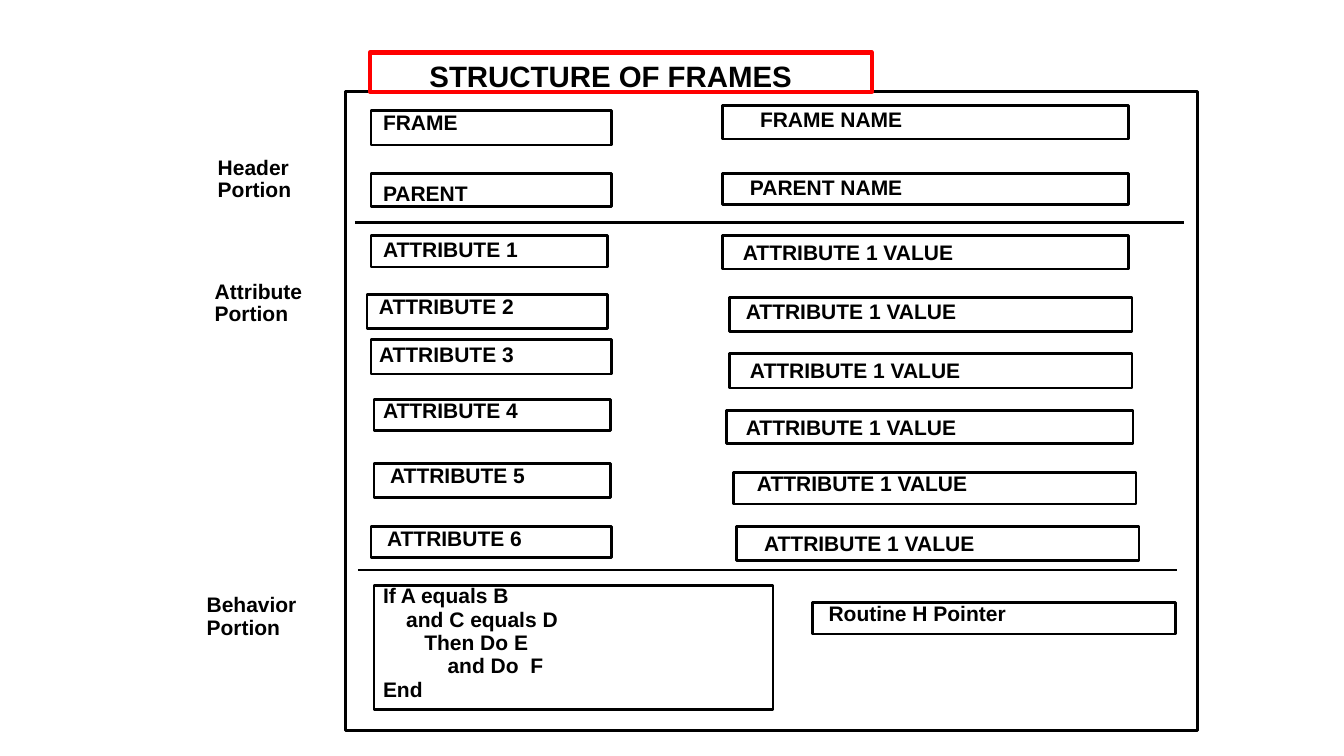
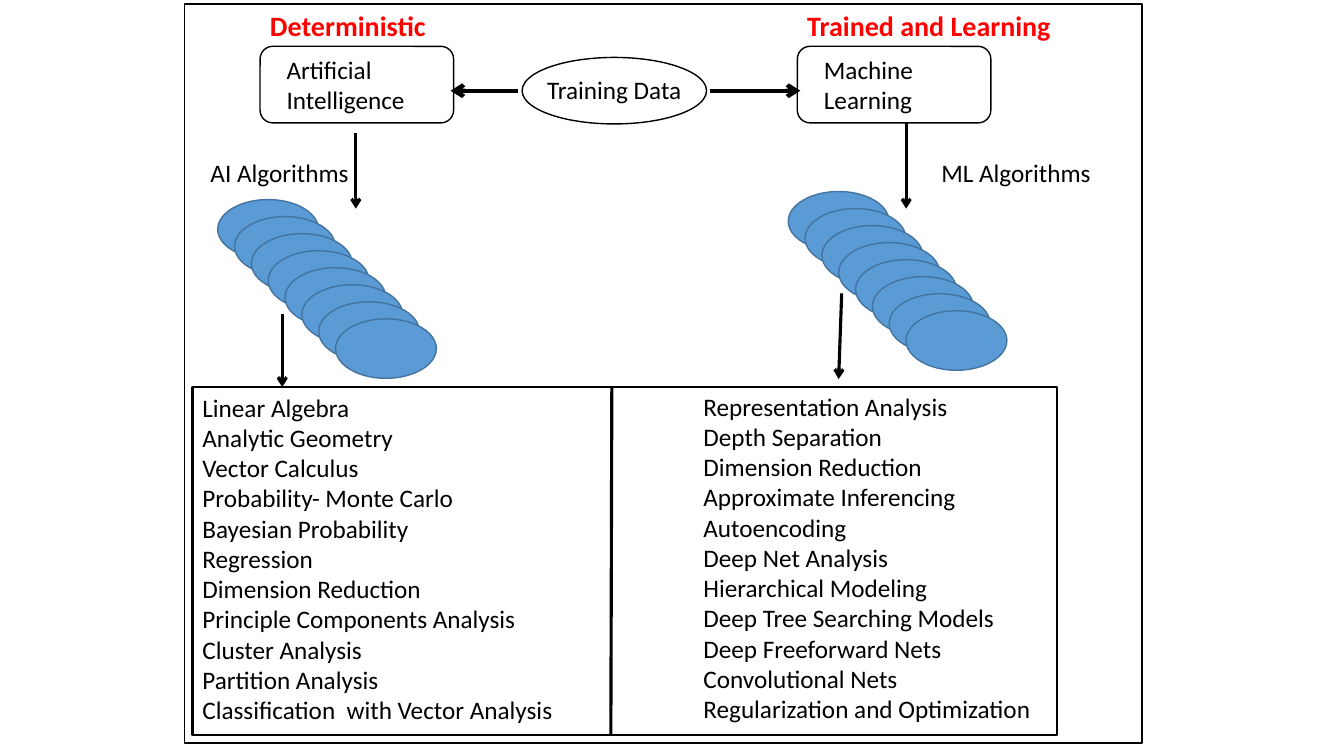
import pptx
import pptx.dml.color
import pptx.enum.shapes
import pptx.enum.text
import pptx.oxml
import pptx.oxml.ns
import pptx.util

# The grid has cells of a tenth of an inch; boxes are (column, row, columns, rows).
CELL = pptx.util.Inches(0.1)
COLS, ROWS = 133.33, 75
COLOR = {"ink": "000000", "paper": "FFFFFF", "red": "FF0000",
         "disc": "5B9BD5", "edge": "43739E"}
KIND = pptx.enum.shapes.MSO_SHAPE

LEFT = [  # label, box in the frame, shift of the text from the box
    ("FRAME", (2.5, 1.9, 23.9, 3.4), (1.2, -0.1)),
    ("PARENT", (2.5, 8.1, 23.9, 3.3), (1.2, 0.7)),
    ("ATTRIBUTE 1", (2.5, 14.3, 23.5, 3.1), (1.2, 0.1)),
    ("ATTRIBUTE 2", (2.1, 20.1, 23.9, 3.4), (1.2, -0.1)),
    ("ATTRIBUTE 3", (2.5, 24.6, 23.9, 3.4), (0.8, 0.2)),
    ("ATTRIBUTE 4", (2.8, 30.5, 23.5, 3.1), (0.9, -0.2)),
    ("ATTRIBUTE 5", (2.8, 36.9, 23.5, 3.4), (1.6, -0.1)),
    ("ATTRIBUTE 6", (2.5, 43.1, 23.9, 3.1), (1.6, -0.1)),
]
VALUE = "ATTRIBUTE 1 VALUE"
RIGHT = [
    ("FRAME NAME", (37.4, 1.4, 40.3, 3.3), (3.7, 0.1)),
    ("PARENT NAME", (37.4, 8.1, 40.3, 3.1), (2.7, 0.1)),
    (VALUE, (37.4, 14.3, 40.3, 3.3), (2, 0.4)),
    (VALUE, (38.1, 20.4, 39.9, 3.4), (1.6, 0.1)),
    (VALUE, (38.1, 26, 39.9, 3.4), (2, 0.4)),
    (VALUE, (37.8, 31.6, 40.3, 3.3), (1.9, 0.4)),
    (VALUE, (38.5, 37.8, 39.9, 3.1), (2.3, -0.2)),
    (VALUE, (38.8, 43.1, 39.9, 3.4), (2.7, 0.4)),
    ("Routine H Pointer", (46.3, 50.7, 36, 3.1), (1.6, -0.2)),
]
RULE = ["If A equals B", "and C equals D", "Then Do E", "and Do  F", "End"]
STEPS = [0, 2.3, 4.1, 6.4, 0]
PARTS = [("Header", 21.6, 15.6), ("Attribute", 21.3, 27.9),
         ("Behavior", 20.5, 59)]

MATH = ["Linear Algebra", "Analytic Geometry", "Vector Calculus",
        "Probability- Monte Carlo", "Bayesian Probability", "Regression",
        "Dimension Reduction", "Principle Components Analysis",
        "Cluster Analysis", "Partition Analysis",
        "Classification  with Vector Analysis"]
NETS = ["Representation Analysis", "Depth Separation", "Dimension Reduction",
        "Approximate Inferencing", "Autoencoding", "Deep Net Analysis",
        "Hierarchical Modeling", "Deep Tree Searching Models",
        "Deep Freeforward Nets", "Convolutional Nets",
        "Regularization and Optimization"]


def grid(*cells):
    return [round(cell * CELL) for cell in cells]


def shift(base, x, y, *size):
    """Move a place or box so that it is counted from the corner of base."""
    return (base[0] + x, base[1] + y, *size)


def tint(name):
    return pptx.dml.color.RGBColor.from_string(COLOR[name])


def shape(slide, kind, box, fill=None, line="ink", width=2):
    item = slide.shapes.add_shape(kind, *grid(*box))
    item.shadow.inherit = False
    if fill:
        item.fill.solid()
        item.fill.fore_color.rgb = tint(fill)
    else:
        item.fill.background()
    item.line.color.rgb = tint(line)
    item.line.width = pptx.util.Pt(width)
    return item


def line(slide, start, end, width=2, arrow=False):
    item = slide.shapes.add_connector(
        pptx.enum.shapes.MSO_CONNECTOR.STRAIGHT, *grid(*start, *end))
    item.line.color.rgb = tint("ink")
    item.line.width = pptx.util.Pt(width)
    if arrow:
        tail = pptx.oxml.parse_xml(
            f'<a:tailEnd {pptx.oxml.ns.nsdecls("a")} type="arrow"/>')
        item.line._get_or_add_ln().append(tail)
    item._element.spPr.append(pptx.oxml.parse_xml(
        f'<a:effectLst {pptx.oxml.ns.nsdecls("a")}/>'))


def text(slide, words, box, host=None, font="Calibri", size=18, color="ink",
         bold=False, inset=(1, 0.5), pitch=None, steps=None):
    """Write one paragraph per word string, in host or in a new text box."""
    host = host or slide.shapes.add_textbox(*grid(*box))
    frame = host.text_frame
    frame.word_wrap = True
    frame.vertical_anchor = pptx.enum.text.MSO_ANCHOR.TOP
    frame.margin_left, frame.margin_top = grid(*inset)
    frame.margin_right, frame.margin_bottom = grid(*inset)
    words = [words] if isinstance(words, str) else words
    for i, word in enumerate(words):
        para = frame.paragraphs[0] if i == 0 else frame.add_paragraph()
        para.alignment = pptx.enum.text.PP_ALIGN.LEFT
        if pitch:
            para.line_spacing = pptx.util.Pt(pitch)
        if steps:
            para._p.get_or_add_pPr().set("marL", str(grid(steps[i])[0]))
        run = para.add_run()
        run.text = word
        run.font.name = font
        run.font.size = pptx.util.Pt(size)
        run.font.bold = bold
        run.font.color.rgb = tint(color)


def label(slide, words, box, **form):
    text(slide, words, box, **{"font": "Arial", "size": 15, "bold": True,
                               "inset": (0, 0), **form})


def slot(slide, base, words, box, move, **form):
    """Draw a box in the frame with its label."""
    place = shift(base, *box)
    shape(slide, KIND.RECTANGLE, place, fill="paper")
    spot = shift(place, *move, box[2] - move[0], box[3])
    label(slide, words, spot, **form)


def frames(slide, box):
    shape(slide, KIND.RECTANGLE, box, fill="paper")
    for x, y, span in [(0.9, 13, 82.3), (1.2, 47.45, 81.3)]:
        line(slide, shift(box, x, y), shift(box, x + span, y))
    for part in LEFT + RIGHT:
        slot(slide, box, *part)
    slot(slide, box, RULE, (2.8, 49, 39.6, 12.3), (0.9, -0.1),
         pitch=16.7, steps=STEPS)
    for name, x, y in PARTS:
        label(slide, [name, "Portion"], (x, y, 12.5, 5), pitch=16)
    head = shape(slide, KIND.RECTANGLE, shift(box, 2.4, -3.9, 49.8, 3.9),
                 line="red", width=3)
    label(slide, "STRUCTURE OF FRAMES", None, host=head, size=21,
          inset=(5.9, 0.6))


def stack(slide, x, y):
    for i in range(8):
        shape(slide, KIND.OVAL, (x + 1.67 * i, y + 1.69 * i, 10, 5.9),
              fill="disc", line="edge", width=1)


def branch(slide, box, title, name, tag, at, discs, arrows):
    """Draw one method: title, box, tag, discs and arrows, from its box."""
    text(slide, title, shift(box, 0, -4.25, 29.8, 4.4),
         size=20, color="red", bold=True)
    shape(slide, KIND.ROUNDED_RECTANGLE, box, width=1)
    text(slide, name, shift(box, 1.65, 0.3, 17.5, 7.2))
    text(slide, tag, shift(box, at, 10.5, 18.3, 4.1))
    stack(slide, *shift(box, *discs))
    for start, end in arrows:
        line(slide, shift(box, *start), shift(box, *end), 2.25, True)


def topics(slide, box):
    shape(slide, KIND.RECTANGLE, box, width=1.5)
    line(slide, shift(box, 41.6, -0.1), shift(box, 41.5, 34.6), 2.25)
    text(slide, MATH, shift(box, 0, 0, 39, 34.3))
    text(slide, NETS, shift(box, 49.7, -0.1, 36.1, 34.8))


def methods(slide, box):
    shape(slide, KIND.RECTANGLE, box, width=1)
    size = (19.2, 7.6)
    branch(slide, shift(box, 7.5, 4.2, *size), "Deterministic",
           "Artificial Intelligence", "AI Algorithms", -5.9, (-4.2, 15.2),
           [((9.5, 8.6), (9.5, 16.1)), ((2.2, 26.6), (2.2, 33.8))])
    branch(slide, shift(box, 60.8, 4.2, *size), "Trained and Learning",
           "Machine Learning", "ML Algorithms", 13.3, (-0.9, 14.4),
           [((10.8, 7.6), (10.8, 16.1)), ((4.4, 24.5), (4.1, 33))])
    shape(slide, KIND.OVAL, shift(box, 33.5, 5.3, 18.3, 6.6), width=1)
    text(slide, "Training Data", shift(box, 35, 6.5, 18.3, 4.1))
    for start, end in [(52.1, 61.1), (33.1, 26.4)]:
        line(slide, shift(box, start, 8.6), shift(box, end, 8.6), 3, True)
    topics(slide, shift(box, 0.8, 38, 85.8, 34.5))


def main():
    deck = pptx.Presentation()
    deck.slide_width, deck.slide_height = grid(COLS, ROWS)
    blank = deck.slide_layouts[6]
    frames(deck.slides.add_slide(blank), (34.3, 9.1, 84.5, 63.4))
    methods(deck.slides.add_slide(blank), (18.3, 0.4, 95, 73.3))
    deck.save("out.pptx")


if __name__ == "__main__":
    main()
